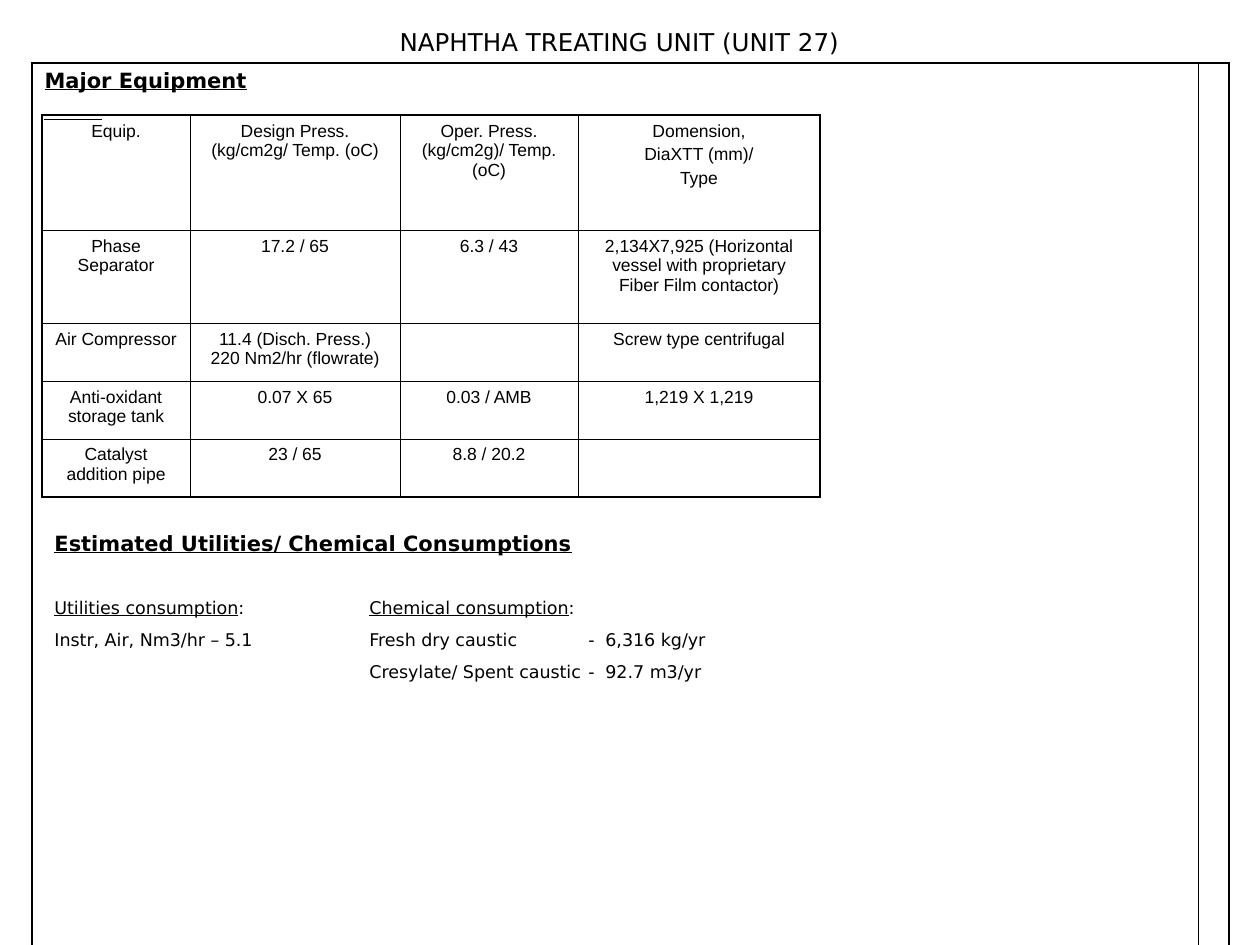
from dataclasses import dataclass

from lxml.etree import SubElement
from pptx import Presentation
from pptx.dml.color import RGBColor as Rgb
from pptx.enum.shapes import MSO_CONNECTOR as Link
from pptx.enum.text import PP_ALIGN as Align
from pptx.oxml import parse_xml
from pptx.oxml.ns import nsdecls, qn
from pptx.util import Emu, Pt


@dataclass(frozen=True)
class Theme:
    ink: str = "000000"
    head: str = "DejaVu Sans"
    body: str = "Arial"
    title: int = 14
    sub: int = 12
    text: int = 10
    thick: float = 1.08
    thin: float = 0.45


T = Theme()


def px(n):
    return Emu(round(n * 914400 / 126))


def write(para, text, size=T.text, font=T.head, bold=False, under=False,
          align=Align.LEFT, before=0):
    para.alignment = align
    para.space_before = Pt(before)
    run = para.add_run()
    run.text = text
    run.font.size = Pt(size)
    run.font.name = font
    run.font.bold = bold
    run.font.underline = under
    run.font.color.rgb = Rgb.from_string(T.ink)


def stops(para, *spots):
    """Set left tab stops, in px from the text edge."""
    tabs = SubElement(para._p.get_or_add_pPr(), qn("a:tabLst"))
    for spot in spots:
        SubElement(tabs, qn("a:tab"), pos=str(px(spot)), algn="l")


def frame(slide, box):
    shape = slide.shapes.add_textbox(*map(px, box))
    shape.text_frame.word_wrap = True
    return shape.text_frame


def edge(cell, outer):
    """Give outer sides the thick line and inner sides the thin one."""
    cell.fill.background()
    props = cell._tc.get_or_add_tcPr()
    for i, side in enumerate("LRTB"):
        wide = Pt(T.thick if side in outer else T.thin)
        props.insert(i, parse_xml(
            f'<a:ln{side} {nsdecls("a")} w="{wide}"><a:solidFill>'
            f'<a:srgbClr val="{T.ink}"/></a:solidFill></a:ln{side}>'))


def grid(slide, left, top, cols, rows):
    shape = slide.shapes.add_table(len(rows), len(cols), px(left), px(top),
                                   px(sum(cols)), px(sum(rows)))
    table = shape.table
    table.first_row = table.horz_banding = False
    for col, wide in zip(table.columns, cols):
        col.width = px(wide)
    for row, tall in zip(table.rows, rows):
        row.height = px(tall)
    for r in range(len(rows)):
        for c in range(len(cols)):
            sides = {"L": c == 0, "R": c == len(cols) - 1,
                     "T": r == 0, "B": r == len(rows) - 1}
            edge(table.cell(r, c), [s for s, on in sides.items() if on])
    return table


def title(slide, box):
    write(frame(slide, box).paragraphs[0], "NAPHTHA TREATING UNIT (UNIT 27)",
          size=T.title, align=Align.CENTER)


def border(slide, box):
    left, top, wide, tall = box
    table = grid(slide, left, top, [wide - 31, 31], [tall])
    para = table.cell(0, 0).text_frame.paragraphs[0]
    stops(para, 216)
    write(para, "Major Equipment\t", size=T.sub, bold=True, under=True)
    rule = slide.shapes.add_connector(
        Link.STRAIGHT, px(left + 12), px(top + 56), px(left + 70), px(top + 56))
    rule.line.color.rgb = Rgb.from_string(T.ink)
    rule.line.width = Pt(T.thin)
    SubElement(rule._element.spPr, qn("a:effectLst"))


def equip(slide, left, top):
    data = [
        ["Equip.", "Design Press. (kg/cm2g/ Temp. (oC)",
         "Oper. Press. (kg/cm2g)/ Temp. (oC)",
         "Domension,\nDiaXTT (mm)/\nType"],
        ["Phase Separator", "17.2 / 65", "6.3 / 43",
         "2,134X7,925 (Horizontal vessel with proprietary "
         "Fiber Film contactor)"],
        ["Air Compressor", "11.4 (Disch. Press.) 220 Nm2/hr (flowrate)", "",
         "Screw type centrifugal"],
        ["Anti-oxidant storage tank", "0.07 X 65", "0.03 / AMB",
         "1,219 X 1,219"],
        ["Catalyst addition pipe", "23 / 65", "8.8 / 20.2", ""],
    ]
    table = grid(slide, left, top, [148, 210, 178, 242], [115, 93, 58, 58, 58])
    for r, row in enumerate(data):
        for c, text in enumerate(row):
            body = table.cell(r, c).text_frame
            for i, line in enumerate(text.split("\n") if text else []):
                para = body.add_paragraph() if i else body.paragraphs[0]
                write(para, line, font=T.body, align=Align.CENTER,
                      before=2.5 if i else 0)


def usage(slide, box):
    body = frame(slide, box)
    write(body.paragraphs[0], "Estimated Utilities/ Chemical Consumptions",
          size=T.sub, bold=True, under=True)
    lines = [
        (24, [("Utilities consumption", True), (":\t", False),
              ("Chemical consumption", True), (":", False)]),
        (6.2, [("Instr, Air, Nm3/hr – 5.1\tFresh dry caustic\t-\t6,316 kg/yr",
                False)]),
        (6.2, [("\tCresylate/ Spent caustic\t-\t92.7 m3/yr", False)]),
    ]
    for gap, parts in lines:
        para = body.add_paragraph()
        stops(para, 315, 534, 551)
        for text, under in parts:
            write(para, text, under=under, before=gap)


def main():
    deck = Presentation()
    deck.slide_width, deck.slide_height = px(1260), px(945)
    slide = deck.slides.add_slide(deck.slide_layouts[6])
    title(slide, (42, 21, 1155, 132))
    border(slide, (32, 63, 1197, 890))
    equip(slide, 42, 115)
    usage(slide, (42, 524, 778, 166))
    deck.save("out.pptx")


if __name__ == "__main__":
    main()
